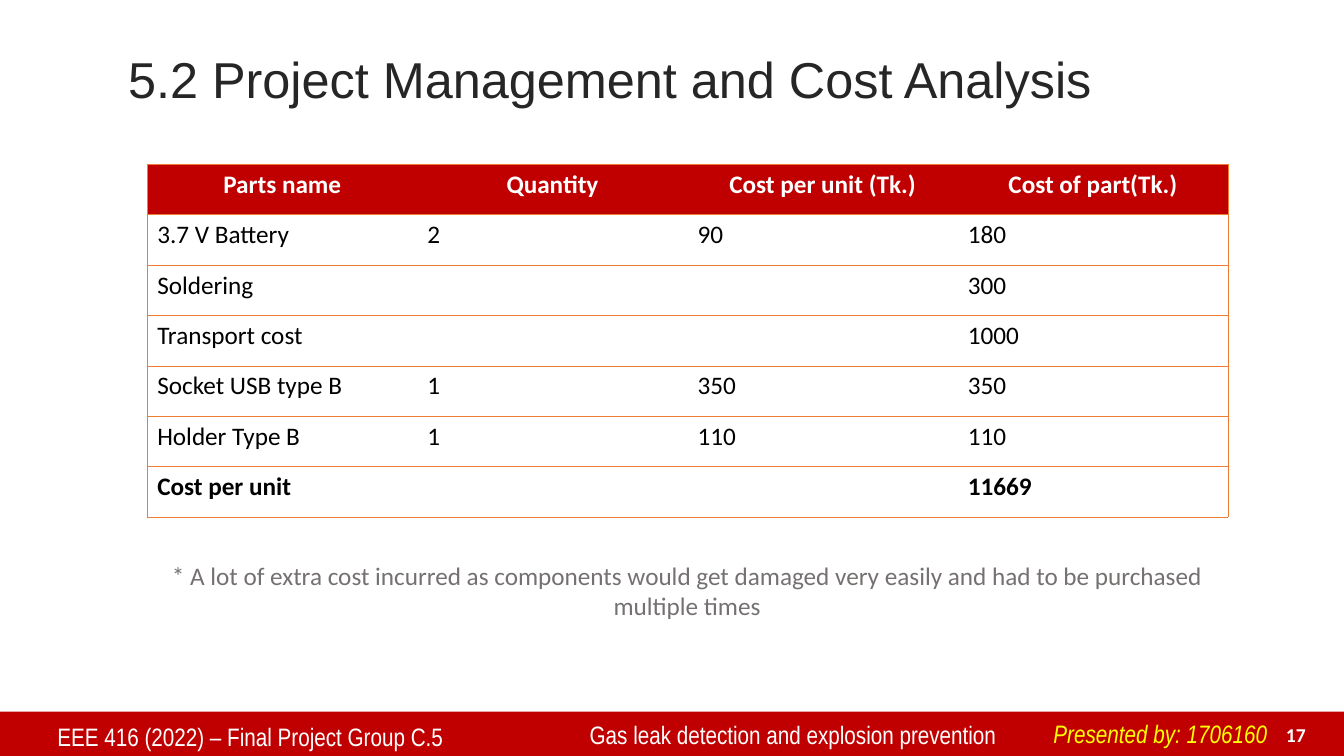
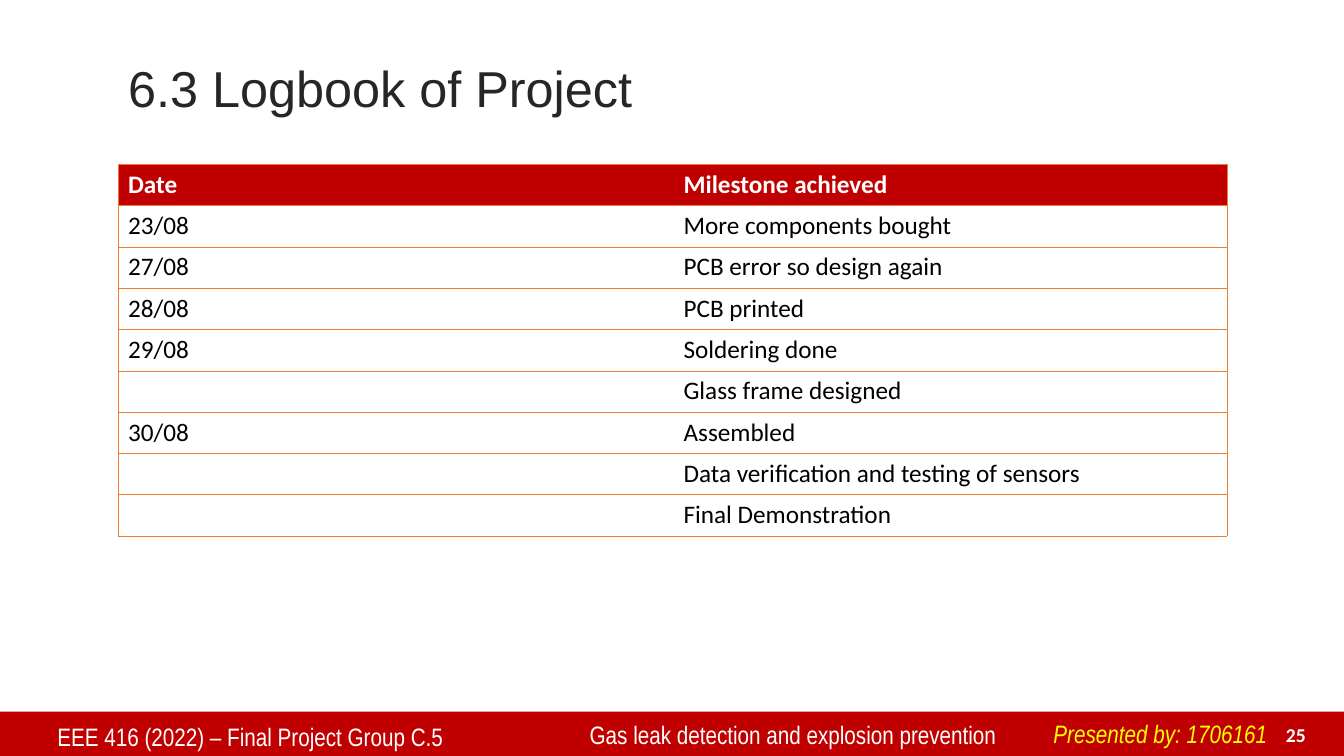
"""Build two project report slides: a cost table and a logbook table."""
from lxml import etree
from pptx import Presentation
from pptx.dml.color import RGBColor
from pptx.enum.shapes import MSO_SHAPE
from pptx.enum.text import MSO_ANCHOR, PP_ALIGN
from pptx.oxml.ns import qn
from pptx.util import Inches, Pt

LEFT, CENTER, RIGHT = PP_ALIGN.LEFT, PP_ALIGN.CENTER, PP_ALIGN.RIGHT
TOP, MIDDLE, BOTTOM = MSO_ANCHOR.TOP, MSO_ANCHOR.MIDDLE, MSO_ANCHOR.BOTTOM
RECTANGLE = MSO_SHAPE.RECTANGLE

COLORS = {
    "red": "C00000",
    "orange": "ED7D31",
    "title": "262626",
    "black": "000000",
    "white": "FFFFFF",
    "yellow": "FFFF00",
    "gray": "767171",
}

SLIDES = [
    {
        "title": "5.2 Project Management and Cost Analysis",
        "title_top": 0.42,
        "table_left": 1.46,
        "columns": [2.68] * 4,
        "row_height": 0.5,
        "header_align": CENTER,
        "bold_last": True,
        "rows": [
            ["Parts name", "Quantity", "Cost per unit (Tk.)", "Cost of part(Tk.)"],
            ["3.7 V Battery", "2", "90", "180"],
            ["Soldering", "", "", "300"],
            ["Transport cost", "", "", "1000"],
            ["Socket USB type B", "1", "350", "350"],
            ["Holder Type B", "1", "110", "110"],
            ["Cost per unit", "", "", "11669"],
        ],
        "note": "* A lot of extra cost incurred as components would get damaged "
                "very easily and had to be purchased multiple times",
        "presenter": "1706160",
        "number": "17",
    },
    {
        "title": "6.3 Logbook of Project",
        "title_top": 0.5,
        "table_left": 1.17,
        "columns": [5.51, 5.49],
        "row_height": 0.41,
        "header_align": LEFT,
        "bold_last": False,
        "rows": [
            ["Date", "Milestone achieved"],
            ["23/08", "More components bought"],
            ["27/08", "PCB error so design again"],
            ["28/08", "PCB printed"],
            ["29/08", "Soldering done"],
            ["", "Glass frame designed"],
            ["30/08", "Assembled"],
            ["", "Data verification and testing of sensors"],
            ["", "Final Demonstration"],
        ],
        "note": None,
        "presenter": "1706161",
        "number": "25",
    },
]


def write(frame, text, font, size, color, align=LEFT, bold=False, italic=False):
    paragraph = frame.paragraphs[0]
    paragraph.alignment = align
    run = paragraph.add_run()
    run.text = text
    run.font.name = font
    run.font.size = Pt(size)
    run.font.bold = bold
    run.font.italic = italic
    run.font.color.rgb = RGBColor.from_string(COLORS[color])
    return paragraph


def set_border(cell, side, visible):
    line = etree.SubElement(cell._tc.get_or_add_tcPr(), qn("a:" + side), w=str(Pt(0.5)))
    if visible:
        fill = etree.SubElement(line, qn("a:solidFill"))
        etree.SubElement(fill, qn("a:srgbClr"), val=COLORS["orange"])
    else:
        etree.SubElement(line, qn("a:noFill"))


prs = Presentation()
prs.slide_width = Inches(13.33)
prs.slide_height = Inches(7.5)

for content in SLIDES:
    slide = prs.slides.add_slide(prs.slide_layouts[5])

    band = slide.shapes.add_shape(
        RECTANGLE, 0, Inches(7.06), prs.slide_width, Inches(0.44))
    band.shadow.inherit = False
    band.fill.solid()
    band.fill.fore_color.rgb = RGBColor.from_string(COLORS["red"])
    band.line.fill.background()

    title = slide.shapes.title
    title.left, title.top = Inches(1.17), Inches(content["title_top"])
    title.width, title.height = Inches(11), Inches(0.8)
    title.text_frame.vertical_anchor = MIDDLE
    heading = write(title.text_frame, content["title"], "Arial", 36, "title")
    heading.line_spacing = 0.9

    rows, columns = content["rows"], content["columns"]
    table = slide.shapes.add_table(
        len(rows), len(columns), Inches(content["table_left"]), Inches(1.63),
        Inches(sum(columns)), Inches(content["row_height"] * len(rows))).table
    table.horz_banding = False
    for column, width in zip(table.columns, columns):
        column.width = Inches(width)

    for r, row in enumerate(rows):
        table.rows[r].height = Inches(content["row_height"])
        is_header = r == 0
        is_total = content["bold_last"] and r == len(rows) - 1
        for c, value in enumerate(row):
            cell = table.cell(r, c)
            set_border(cell, "lnL", c == 0)
            set_border(cell, "lnR", c == len(row) - 1)
            set_border(cell, "lnT", True)
            set_border(cell, "lnB", True)
            if is_header:
                cell.fill.solid()
                cell.fill.fore_color.rgb = RGBColor.from_string(COLORS["red"])
            else:
                cell.fill.background()
            if value:
                write(cell.text_frame, value, "Calibri", 18,
                      "white" if is_header else "black",
                      content["header_align"] if is_header else LEFT,
                      bold=is_header or is_total)

    labels = [
        ((12.48, 7.11, 0.57, 0.34), BOTTOM, True,
         (content["number"], "Calibri", 14, "white", RIGHT, True)),
        ((0.47, 7.11, 5.28, 0.41), TOP, True,
         ("EEE 416 (2022) – Final Project Group C.5", "Arial Narrow", 18, "white")),
        ((5.75, 7.09, 6.73, 0.41), TOP, True,
         ("Gas leak detection and explosion prevention", "Arial Narrow", 18, "white")),
        ((10.35, 7.08, 2.35, 0.4), TOP, False,
         ("Presented by: " + content["presenter"], "Arial Narrow", 18, "yellow",
          LEFT, False, True)),
    ]
    if content["note"]:
        labels.append(((1.46, 5.51, 10.71, 0.71), TOP, True,
                       (content["note"], "Calibri", 18, "gray", CENTER)))
    for box, anchor, wrap, wording in labels:
        frame = slide.shapes.add_textbox(*map(Inches, box)).text_frame
        frame.word_wrap = wrap
        frame.vertical_anchor = anchor
        write(frame, *wording)

prs.save("out.pptx")
